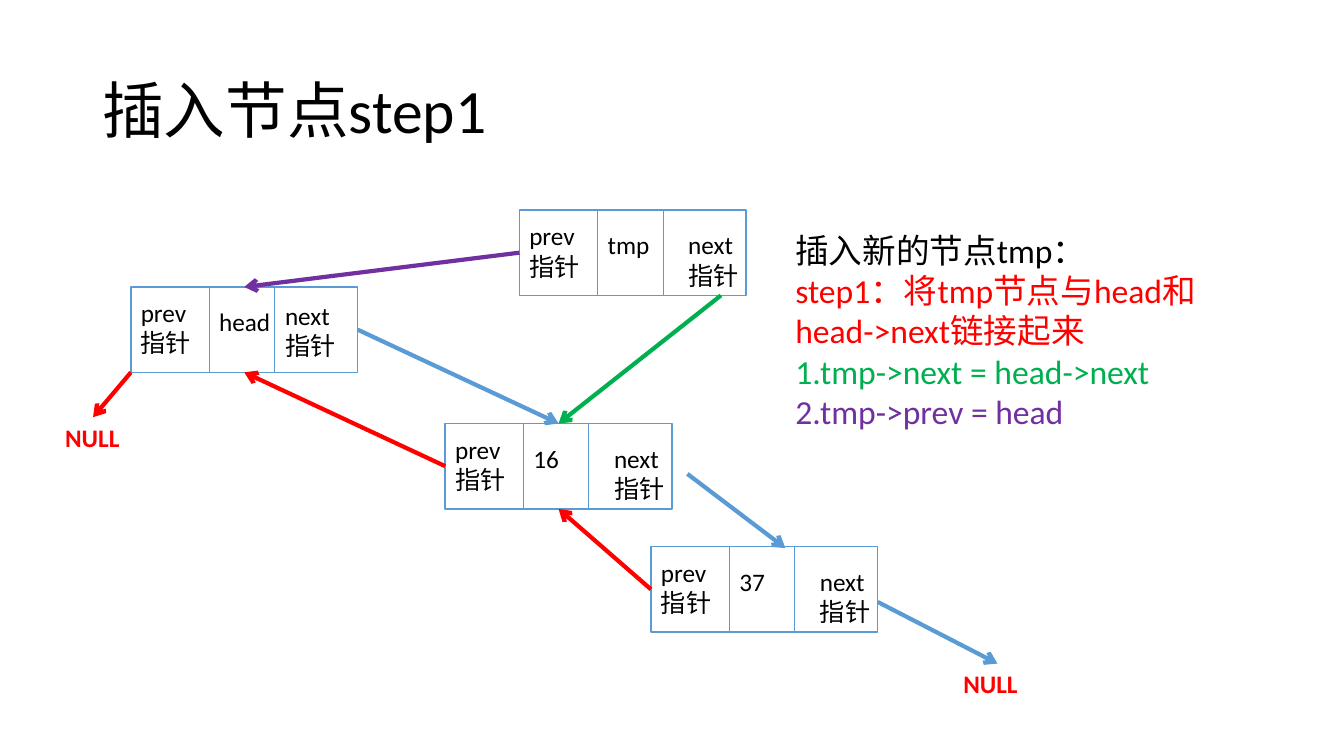
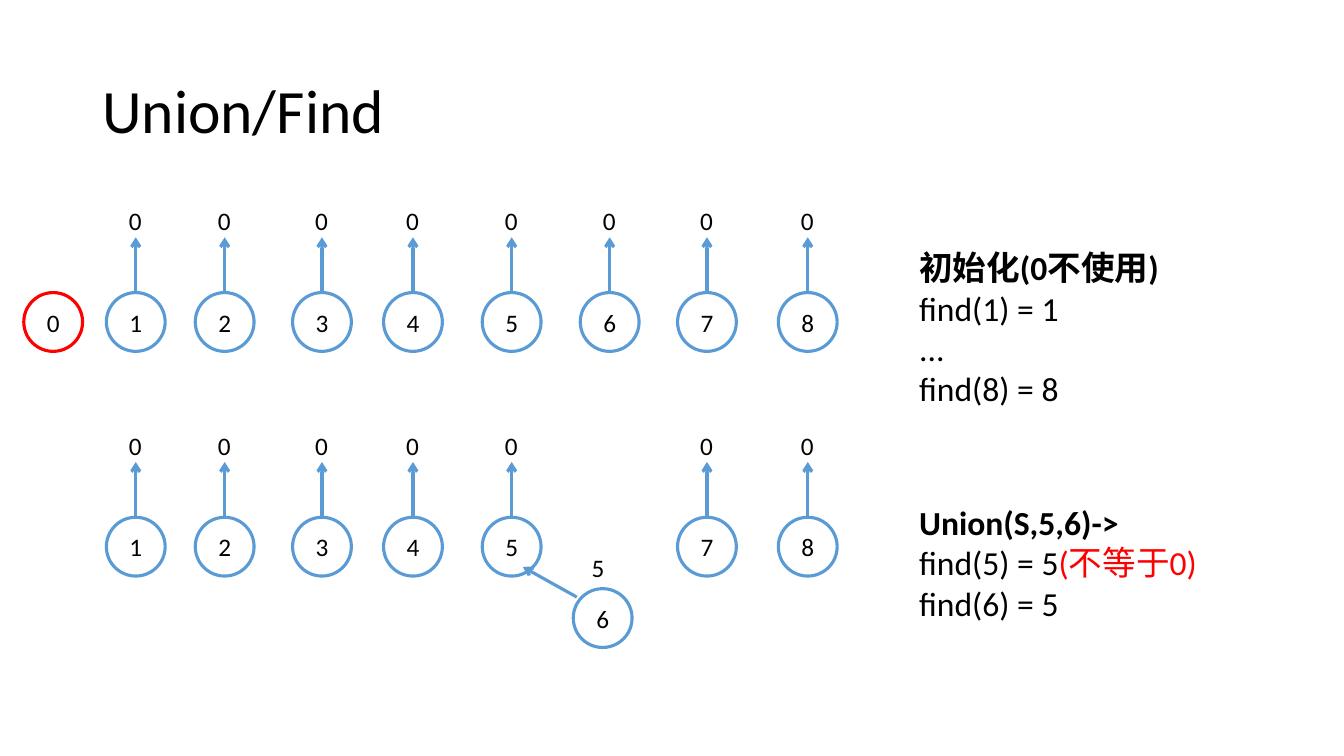
"""Build two data-structure slides: a linked-list insertion and Union/Find."""
import dataclasses

import pptx
import pptx.dml.color
import pptx.enum.shapes
import pptx.enum.text
import pptx.oxml
import pptx.oxml.ns
import pptx.util

Pt = pptx.util.Pt
SHAPE = pptx.enum.shapes.MSO_SHAPE
ANCHOR = pptx.enum.text.MSO_ANCHOR
TOP, LEFT, BOTTOM, RIGHT = range(4)


@dataclasses.dataclass(frozen=True)
class Theme:
    font: str = "Calibri"
    title_size: int = 44
    note_size: int = 24
    label_size: int = 18
    black: str = "000000"
    white: str = "FFFFFF"
    blue: str = "5B9BD5"
    red: str = "FF0000"
    green: str = "00B050"
    purple: str = "7030A0"


class Deck:
    def __init__(self, theme):
        self.theme = theme
        self.presentation = pptx.Presentation()
        self.presentation.slide_width = Pt(960)
        self.presentation.slide_height = Pt(540)

    def color(self, value):
        return pptx.dml.color.RGBColor.from_string(value)

    def new_slide(self, title):
        layout = self.presentation.slide_layouts[6]
        self.slide = self.presentation.slides.add_slide(layout)
        self.ungroup()
        box = self.text(66, 28.8, 828, 104.4, title, size=self.theme.title_size, grow=False)
        box.text_frame.vertical_anchor = ANCHOR.MIDDLE
        box.text_frame.paragraphs[0].line_spacing = 0.9

    def group(self):
        self.shapes = self.slide.shapes.add_group_shape().shapes

    def ungroup(self):
        self.shapes = self.slide.shapes

    def style(self, paragraph, size, color, bold=False):
        paragraph.font.name = self.theme.font
        paragraph.font.size = Pt(size)
        paragraph.font.bold = bold
        paragraph.font.color.rgb = self.color(color)

    def text(self, left, top, width, height, text, size=None, color=None, bold=False, grow=True):
        box = self.shapes.add_textbox(Pt(left), Pt(top), Pt(width), Pt(height))
        frame = box.text_frame
        frame.word_wrap = True
        if grow:
            frame.auto_size = pptx.enum.text.MSO_AUTO_SIZE.SHAPE_TO_FIT_TEXT
        frame.text = text
        self.style(frame.paragraphs[0], size or self.theme.label_size, color or self.theme.black, bold)
        return box

    def note(self, left, top, width, height, lines):
        first, *others = lines
        size = self.theme.note_size
        frame = self.text(left, top, width, height, first[0], size, *first[1:]).text_frame
        for text, *look in others:
            paragraph = frame.add_paragraph()
            paragraph.text = text
            self.style(paragraph, size, *look)
        return frame

    def shape(self, kind, left, top, width, height, line_color, weight):
        shape = self.shapes.add_shape(kind, Pt(left), Pt(top), Pt(width), Pt(height))
        shape.shadow.inherit = False
        shape.fill.solid()
        shape.fill.fore_color.rgb = self.color(self.theme.white)
        shape.line.color.rgb = self.color(line_color)
        shape.line.width = Pt(weight)
        return shape

    def line(self, start, end, color, weight, arrow=True):
        joined = [not isinstance(point[0], (int, float)) for point in (start, end)]
        places = [(0, 0) if join else point for join, point in zip(joined, (start, end))]
        connector = self.shapes.add_connector(
            pptx.enum.shapes.MSO_CONNECTOR.STRAIGHT, *(Pt(value) for place in places for value in place))
        if joined[0]:
            connector.begin_connect(*start)
        if joined[1]:
            connector.end_connect(*end)
        connector.line.color.rgb = self.color(color)
        connector.line.width = Pt(weight)
        if arrow:
            namespace = pptx.oxml.ns.nsdecls("a")
            connector.line._get_or_add_ln().append(
                pptx.oxml.parse_xml(f'<a:tailEnd {namespace} type="arrow"/>'))
        properties = connector._element.spPr
        properties.append(properties.makeelement(pptx.oxml.ns.qn("a:effectLst"), {}))

    def list_node(self, left, top, value, next_offset=(113.5, 10.5)):
        width, height = 162, 61
        self.group()
        rectangle = self.shape(SHAPE.RECTANGLE, left, top, width, height, self.theme.blue, 1)
        for offset in (56, 102.5):
            self.line((left + offset, top), (left + offset, top + height), self.theme.blue, 0.5, arrow=False)
        self.text(left + 56, top + 10.5, 58, 29, value)
        self.text(left, top + 4, 56, 51, "prev指针")
        self.text(left + next_offset[0], top + next_offset[1], 59, 51, "next指针")
        self.ungroup()
        return rectangle

    def circle(self, center, top, label, color):
        diameter = 42
        circle = self.shape(SHAPE.OVAL, center - diameter / 2, top, diameter, diameter, color, 2.25)
        frame = circle.text_frame
        frame.text = label
        frame.vertical_anchor = ANCHOR.MIDDLE
        frame.paragraphs[0].alignment = pptx.enum.text.PP_ALIGN.CENTER
        self.style(frame.paragraphs[0], self.theme.label_size, self.theme.black)
        return circle

    def root(self, center, top, label):
        circle = self.circle(center, top, label, self.theme.blue)
        self.line((circle, TOP), (center, top - 39.5), self.theme.blue, 2.25)
        self.text(center - 12, top - 66, 36, 29, "0")


def insertion_slide(deck):
    theme = deck.theme
    deck.new_slide("插入节点step1")
    head = deck.list_node(93.5, 205, "head", next_offset=(103, 6))
    node_16 = deck.list_node(318, 302.5, "16")
    node_37 = deck.list_node(465, 390.5, "37")
    tmp = deck.list_node(371, 150, "tmp")
    for left, top in ((681, 474), (39.5, 298)):
        deck.text(left, top, 56, 29, "NULL", color=theme.red, bold=True)
    for start, end, color in (
        ((93.5, 266), (66.5, 298), theme.red),
        ((head, RIGHT), (node_16, TOP), theme.blue),
        ((491, 338.5), (561, 391.5), theme.blue),
        ((node_16, LEFT), (head, BOTTOM), theme.red),
        ((node_37, LEFT), (node_16, BOTTOM), theme.red),
        ((627, 430), (712.5, 474), theme.blue),
        ((515, 211), (node_16, TOP), theme.green),
        ((tmp, LEFT), (head, TOP), theme.purple),
    ):
        deck.line(start, end, color, 3)
    deck.note(561, 160.5, 334, 181, (
        ("插入新的节点tmp：", theme.black),
        ("step1：将tmp节点与head和", theme.red),
        ("head->next链接起来", theme.red),
        ("1.tmp->next = head->next", theme.green),
        ("2.tmp->prev = head", theme.purple),
    ))


def union_find_slide(deck):
    theme = deck.theme
    centers = dict(zip("12345678", (97, 160.5, 230, 295, 365.5, 435.5, 505, 577)))
    deck.new_slide("Union/Find")
    for top, moved in ((209, ""), (369.5, "6")):
        deck.group()
        for label, center in centers.items():
            if label != moved:
                deck.root(center, top, label)
        if moved:
            deck.circle(430.5, 420.5, moved, theme.blue)
            deck.line((412, 426.5), (373.5, 405), theme.blue, 2.25)
            deck.text(415.5, 391, 36, 29, "5")
        deck.ungroup()
    deck.circle(38, 209, "0", theme.red)
    deck.note(649.5, 173, 224, 124, (
        ("初始化(0不使用)", theme.black, True),
        ("find(1) = 1", theme.black),
        ("...", theme.black),
        ("find(8) = 8", theme.black),
    ))
    frame = deck.note(649.5, 355, 224, 124, (
        ("Union(S,5,6)->", theme.black, True),
        ("find(5) = 5", theme.black),
        ("find(6) = 5", theme.black),
    ))
    remark = frame.paragraphs[1].add_run()
    remark.text = "(不等于0)"
    remark.font.color.rgb = deck.color(theme.red)


def main():
    deck = Deck(Theme())
    insertion_slide(deck)
    union_find_slide(deck)
    deck.presentation.save("out.pptx")


if __name__ == "__main__":
    main()
